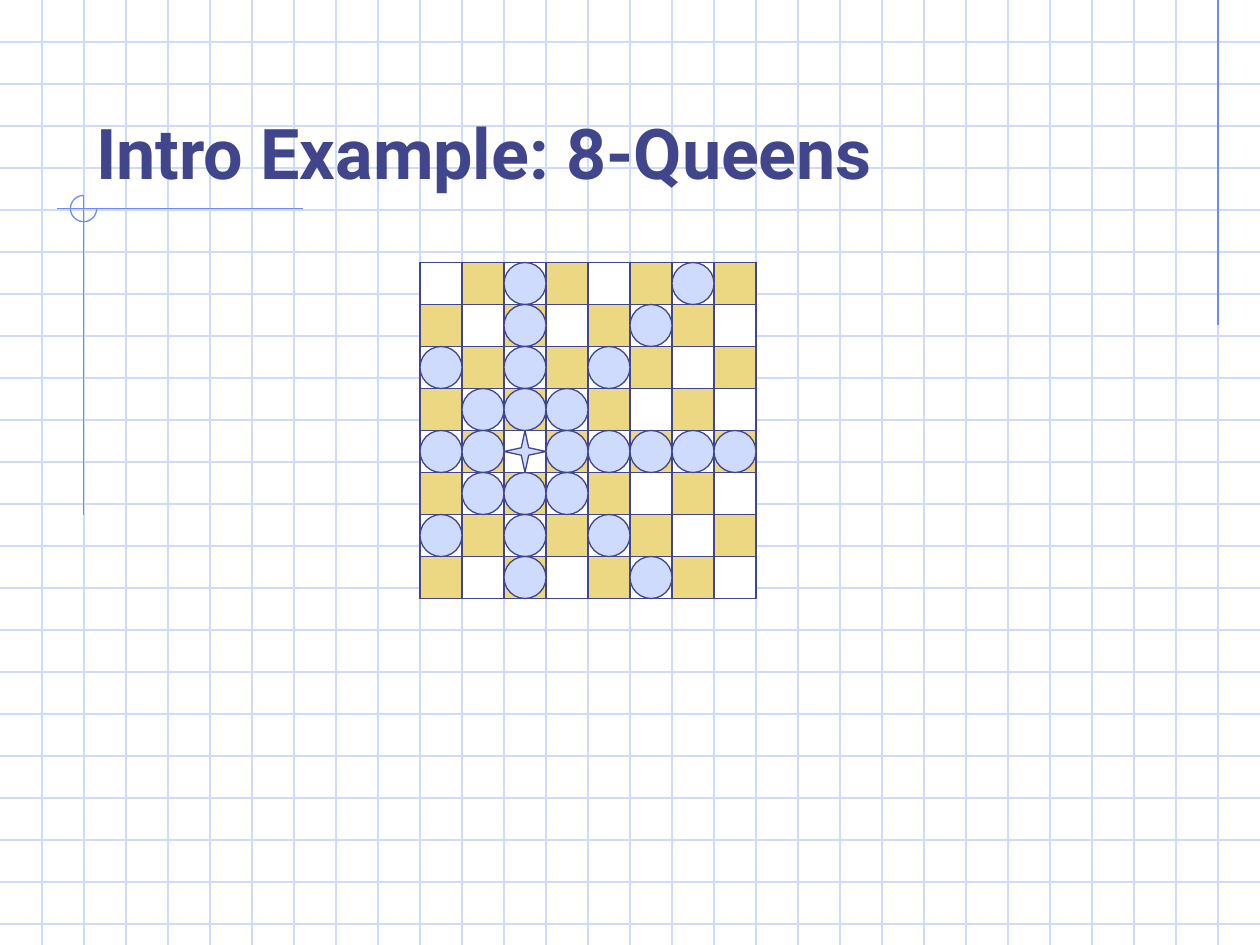
"""Build a slide that marks the squares a queen attacks on a chess board."""
import dataclasses

import pptx
import pptx.dml.color
import pptx.enum.shapes
import pptx.enum.text
import pptx.oxml.ns
import pptx.util

Cm = pptx.util.Cm
Shape = pptx.enum.shapes.MSO_SHAPE


@dataclasses.dataclass(frozen=True)
class Theme:
    grid: str = "CFDBFD"
    accent: str = "6F89F7"
    ink: str = "40458C"
    tan: str = "ECD882"
    mark: str = "CFDBFD"
    white: str = "FFFFFF"
    font: str = "Roboto"
    title: int = 40
    stroke: float = 0.75


class Pen:
    def __init__(self, slide, theme):
        self.slide = slide
        self.theme = theme

    def color(self, code):
        return pptx.dml.color.RGBColor.from_string(code)

    def stroke(self, item, code):
        item.line.color.rgb = self.color(code)
        item.line.width = pptx.util.Pt(self.theme.stroke)

    def line(self, x1, y1, x2, y2, code):
        kind = pptx.enum.shapes.MSO_CONNECTOR.STRAIGHT
        line = self.slide.shapes.add_connector(kind, Cm(x1), Cm(y1), Cm(x2), Cm(y2))
        self.stroke(line, code)
        props = line._element.spPr
        props.append(props.makeelement(pptx.oxml.ns.qn("a:effectLst"), {}))

    def shape(self, kind, x, y, size, fill, code):
        shape = self.slide.shapes.add_shape(kind, Cm(x), Cm(y), Cm(size), Cm(size))
        shape.shadow.inherit = False
        if fill:
            shape.fill.solid()
            shape.fill.fore_color.rgb = self.color(fill)
        else:
            shape.fill.background()
        self.stroke(shape, code)
        return shape

    def title(self, text, x, y, width, height):
        frame = self.slide.shapes.add_textbox(Cm(x), Cm(y), Cm(width), Cm(height)).text_frame
        frame.word_wrap = True
        frame.vertical_anchor = pptx.enum.text.MSO_ANCHOR.BOTTOM
        para = frame.paragraphs[0]
        para.text = text
        para.font.name = self.theme.font
        para.font.size = pptx.util.Pt(self.theme.title)
        para.font.bold = True
        para.font.color.rgb = self.color(self.theme.ink)


def main():
    wide, high = 25.4, 19.05
    cell = wide / 30
    deck = pptx.Presentation()
    deck.slide_width, deck.slide_height = Cm(wide), Cm(high)
    theme = Theme()
    pen = Pen(deck.slides.add_slide(deck.slide_layouts[6]), theme)

    for step in range(1, 23):
        pen.line(0, step * cell, wide, step * cell, theme.grid)
    for step in range(1, 30):
        pen.line(step * cell, 0, step * cell, high, theme.grid)

    pen.line(29 * cell, 0, 29 * cell, 6.55, theme.accent)
    pen.line(6.1, 4.21, 1.14, 4.21, theme.accent)
    pen.line(1.69, 3.94, 1.69, 10.39, theme.accent)
    arc = pen.shape(Shape.ARC, 1.42, 3.94, 0.53, None, theme.accent)
    arc.adjustments[0] = 0
    arc.adjustments[1] = 162

    pen.title("Intro Example: 8-Queens", 1.69, 0.85, 21.59, 3.17)

    side = 8
    left, top = 10 * cell, 6.25 * cell
    squares = [(row, col) for row in range(side) for col in range(side)]
    pen.shape(Shape.RECTANGLE, left, top, side * cell, theme.white, theme.ink)
    for row, col in squares:
        if (row + col) % 2:
            pen.shape(Shape.RECTANGLE, left + col * cell, top + row * cell,
                      cell, theme.tan, theme.ink)

    queen = (4, 2)
    for row, col in squares:
        down, across = abs(row - queen[0]), abs(col - queen[1])
        if down == across or not down or not across:
            kind = Shape.STAR_4_POINT if (row, col) == queen else Shape.OVAL
            pen.shape(kind, left + col * cell, top + row * cell,
                      cell, theme.mark, theme.ink)

    deck.save("out.pptx")


if __name__ == "__main__":
    main()
